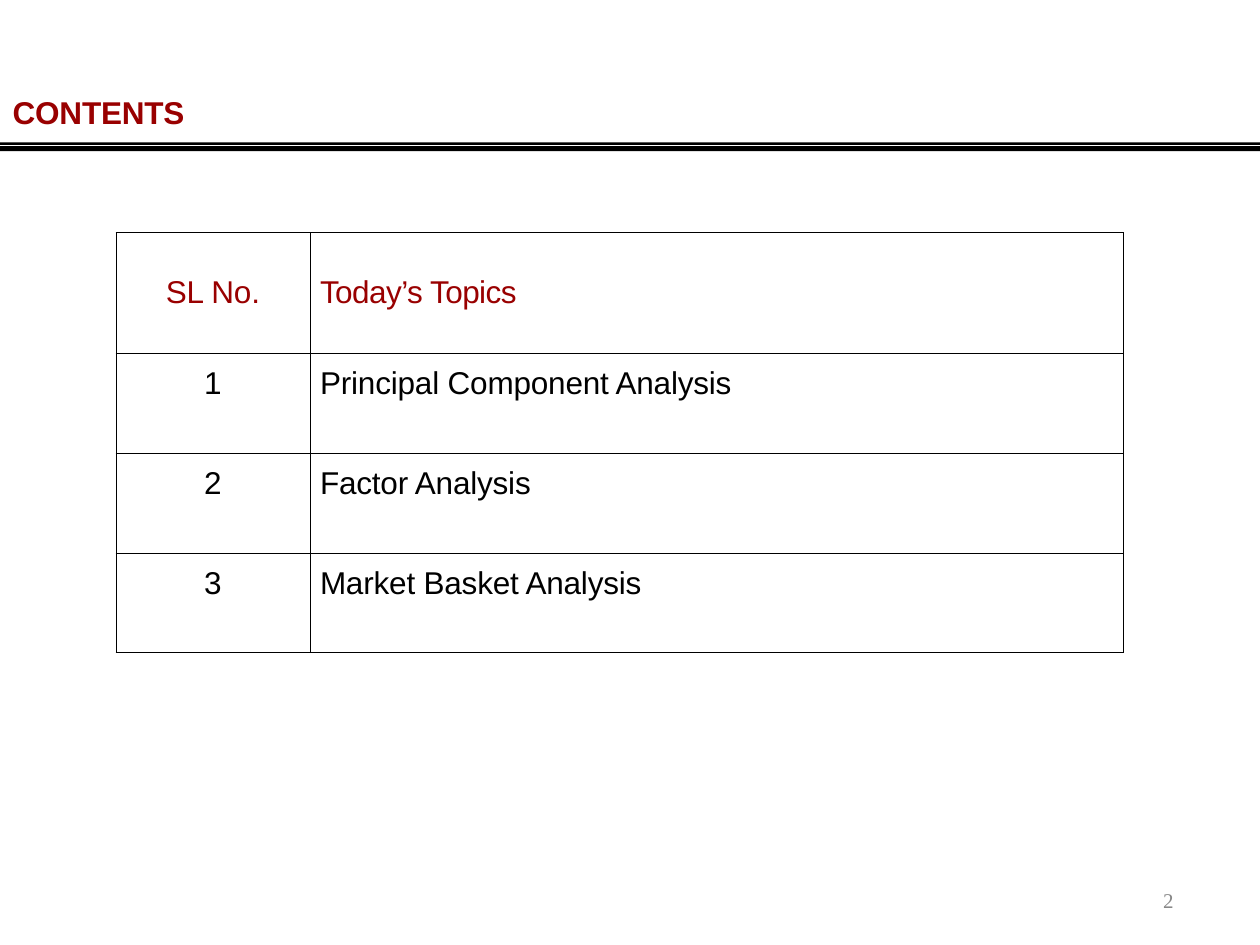
from lxml import etree
from pptx import Presentation
from pptx import util as u
from pptx.dml.color import RGBColor
from pptx.enum import text
from pptx.oxml import parse_xml

NS = "http://schemas.openxmlformats.org/drawingml/2006/main"
COLUMNS, ROWS = 100, 75
TOPICS = ["Principal Component Analysis", "Factor Analysis", "Market Basket Analysis"]


def rgb(value):
    return RGBColor.from_string(value)


class ContentsSlide:
    """Holds the style and the slide; places are columns and rows of a 100 by 75 grid."""
    accent, ink, muted = "990000", "000000", "888888"
    sans, serif = "Arial", "Times New Roman"

    def __init__(self, prs):
        self.col = prs.slide_width / COLUMNS
        self.row = prs.slide_height / ROWS
        self.s = prs.slides.add_slide(prs.slide_layouts[5])

    def box(self, x, y, w, h):
        return [int(n) for n in (x * self.col, y * self.row, w * self.col, h * self.row)]

    def set_text(self, tf, words, color, size=18, font=None, bold=False, spacing=0,
                 align=text.PP_ALIGN.LEFT):
        tf.text = words
        p = tf.paragraphs[0]
        p.alignment = align
        for r in p.runs:
            r.font.name = font or self.sans
            r.font.size, r.font.bold = u.Pt(size), bold
            r.font.color.rgb = rgb(color)
            if spacing:
                r._r.get_or_add_rPr().set("spc", str(round(spacing * 100)))
        return p

    def frame(self, sp, left=0, top=0):
        tf = sp.text_frame
        tf.margin_left, tf.margin_top = u.Inches(left), u.Inches(top)
        tf.margin_right = tf.margin_bottom = 0
        tf.vertical_anchor = text.MSO_ANCHOR.TOP
        tf.auto_size = text.MSO_AUTO_SIZE.NONE
        tf.word_wrap = True
        return tf

    def title(self, words, *place):
        sp = self.s.shapes.title
        sp.left, sp.top, sp.width, sp.height = self.box(*place)
        self.set_text(self.frame(sp, 0.01, 0.03), words, self.accent, bold=True, spacing=-0.1)

    def page_number(self, words, *place):
        sp = self.s.shapes.add_textbox(*self.box(*place))
        p = self.set_text(self.frame(sp, 0.04), words, self.muted, 12, self.serif)
        p.line_spacing = u.Pt(14.1)

    def double_rule(self, *bands):
        """One outline of full-width bands, each given as its top and bottom row."""
        builder = self.s.shapes.build_freeform(0, int(bands[0][0] * self.row))
        right = int(COLUMNS * self.col)
        for band in bands:
            top, bottom = (int(n * self.row) for n in band)
            builder.move_to(0, top)
            builder.add_line_segments([(right, top), (right, bottom), (0, bottom)])
        sp = builder.convert_to_shape()
        sp.shadow.inherit = False
        sp.fill.solid()
        sp.fill.fore_color.rgb = rgb(self.ink)
        sp.line.fill.background()

    def border(self, cell):
        tc_pr = cell._tc.get_or_add_tcPr()
        for i, side in enumerate("LRTB"):
            ln = parse_xml(f'<a:ln{side} xmlns:a="{NS}" w="{u.Pt(0.5)}"/>')
            fill = etree.SubElement(ln, f"{{{NS}}}solidFill")
            etree.SubElement(fill, f"{{{NS}}}srgbClr", val=self.ink)
            tc_pr.insert(i, ln)

    def table(self, records, x, y, widths, heights):
        place = self.box(x, y, sum(widths), sum(heights))
        table = self.s.shapes.add_table(len(heights), len(widths), *place).table
        table.first_row = table.horz_banding = False
        for column, width in zip(table.columns, widths):
            column.width = int(width * self.col)
        for row, height in zip(table.rows, heights):
            row.height = int(height * self.row)
        for i, record in enumerate(records):
            for j, words in enumerate(record):
                self.cell(table.cell(i, j), words, header=i == 0, number=j == 0)

    def cell(self, cell, words, header, number):
        cell.fill.background()
        self.border(cell)
        cell.margin_left = 0 if number else u.Inches(0.08)
        cell.margin_right = cell.margin_bottom = 0
        cell.margin_top = 0 if header else u.Inches(0.1)
        cell.vertical_anchor = text.MSO_ANCHOR.MIDDLE if header else text.MSO_ANCHOR.TOP
        self.set_text(cell.text_frame, words, self.accent if header else self.ink,
                      spacing=-0.3 if header and not number else -0.1,
                      align=text.PP_ALIGN.CENTER if number else text.PP_ALIGN.LEFT)


def main():
    prs = Presentation()
    prs.slide_width, prs.slide_height = u.Inches(10), u.Inches(7.5)
    slide = ContentsSlide(prs)
    slide.double_rule((11.3, 11.5), (11.6, 12))
    slide.page_number("2", 91.9, 70.5, 2.5, 2.1)
    slide.title("CONTENTS", 0.9, 7.1, 14, 3.3)
    records = [("SL No.", "Today’s Topics")]
    records += [(str(n), topic) for n, topic in enumerate(TOPICS, 1)]
    slide.table(records, 9.2, 18.45, [15.4, 64.6], [9.6] + [7.92] * len(TOPICS))
    prs.save("out.pptx")


if __name__ == "__main__":
    main()
